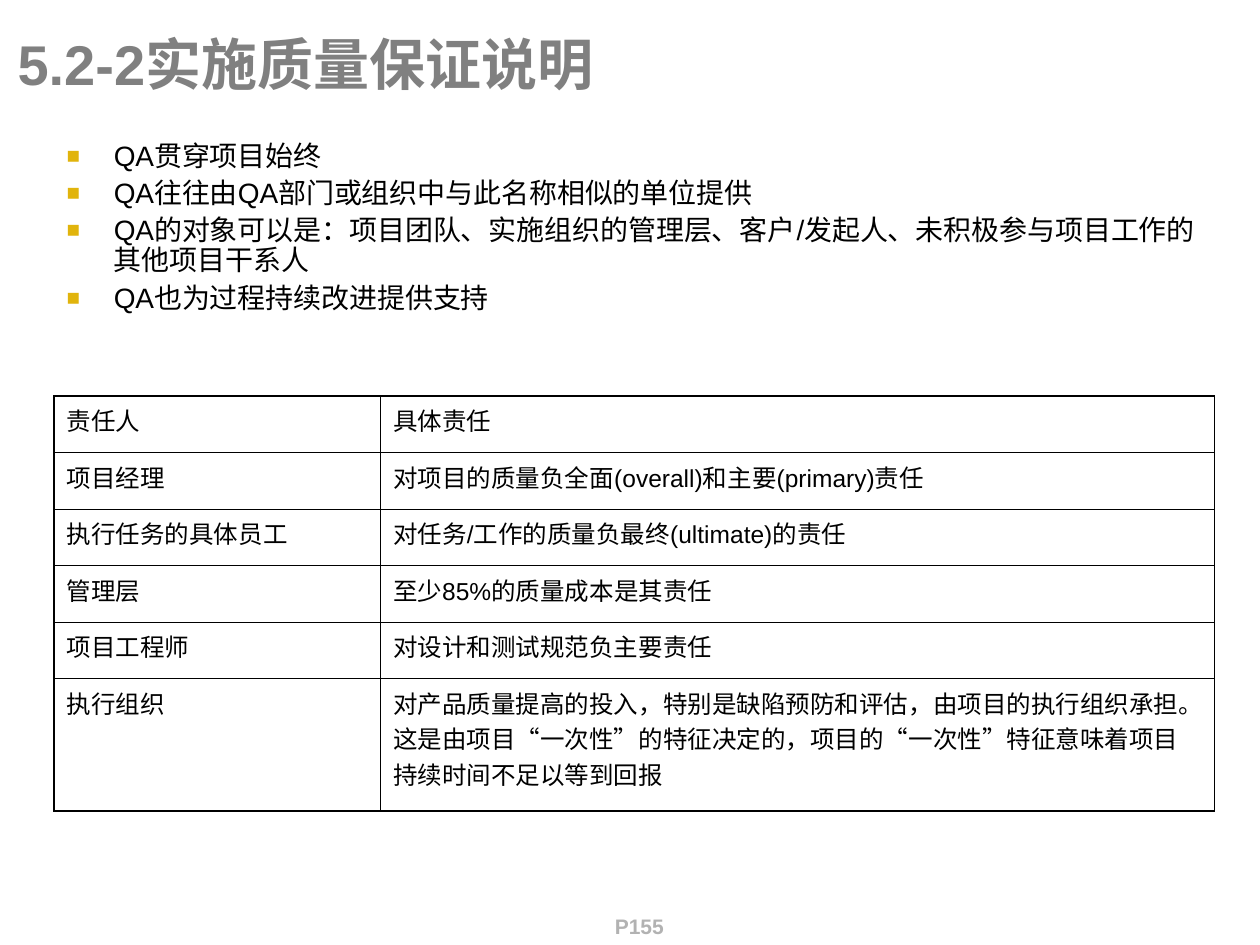
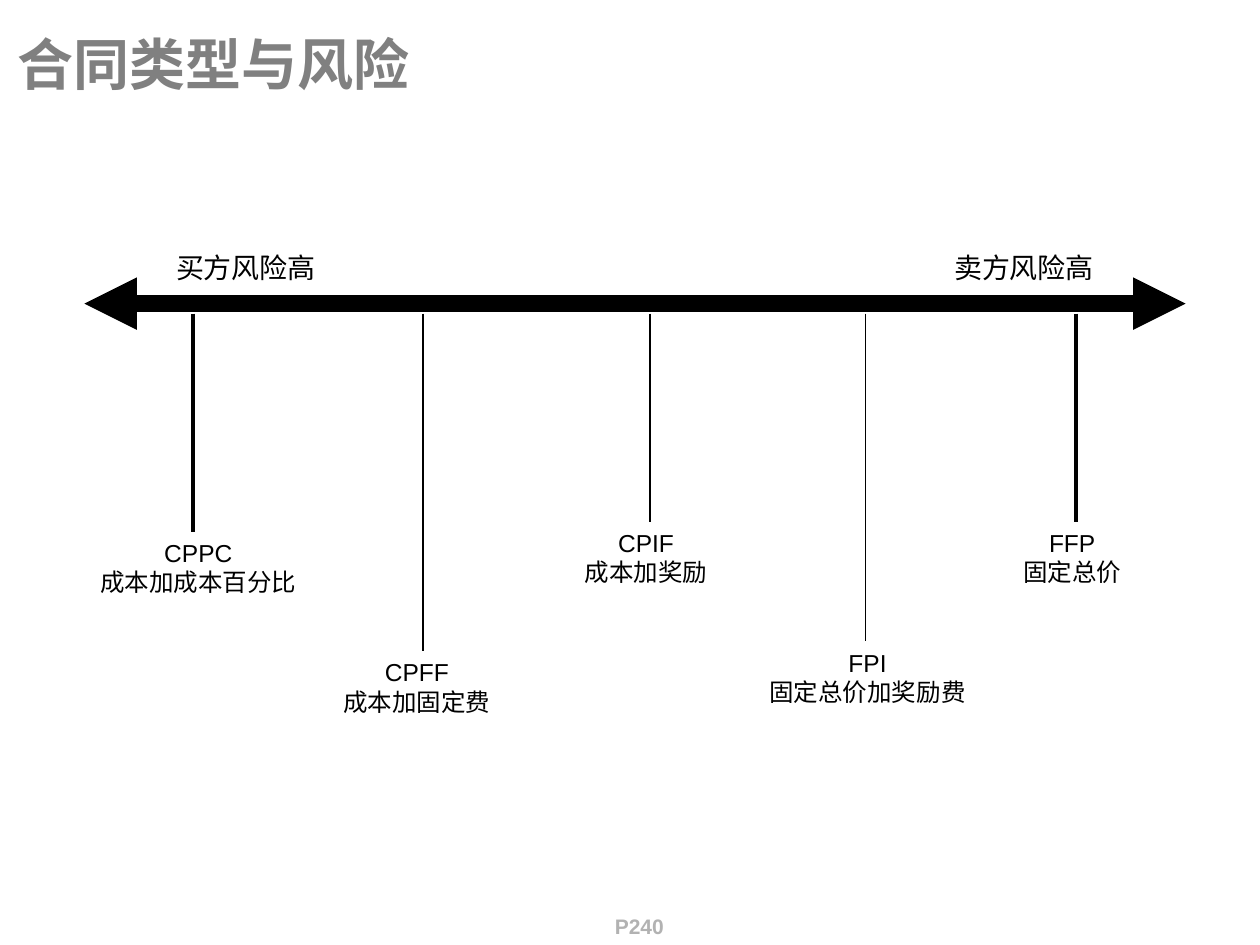
from dataclasses import dataclass

from lxml.etree import SubElement
from pptx import Presentation
from pptx.dml.color import RGBColor
from pptx.enum.shapes import MSO_CONNECTOR as Connector
from pptx.enum.text import MSO_ANCHOR as Anchor, MSO_AUTO_SIZE as AutoSize, PP_ALIGN as Align
from pptx.oxml.ns import qn
from pptx.shapes.base import BaseShape
from pptx.slide import Slide
from pptx.util import Cm, Pt

FONT = "Arial"
BLACK = RGBColor(0x00, 0x00, 0x00)
TITLE_GRAY = RGBColor(0x80, 0x80, 0x80)
PAGE_GRAY = RGBColor(0xB2, 0xB2, 0xB2)
BULLET_GOLD = RGBColor(0xE1, 0xB4, 0x0C)

TITLE_AND_BODY, TITLE_ONLY = 1, 5  # layouts of the default template
OUTER_BORDER, INNER_BORDER = Pt(1.08), Pt(0.45)
AXIS_LEFT, AXIS_RIGHT, AXIS_Y = 1.7, 23.9, 6.12
BRANCH_TOP = 6.32


@dataclass(frozen=True)
class Box:
    """Place on the slide, in centimetres."""
    left: float
    top: float
    width: float
    height: float


@dataclass(frozen=True)
class TextStyle:
    size: float
    color: RGBColor = BLACK
    bold: bool = False
    east_asian: bool = True


@dataclass(frozen=True)
class Contract:
    code: str
    meaning: str
    label: Box
    branch_x: float
    branch_weight: float = 1


@dataclass(frozen=True)
class RiskEnd:
    wording: str
    left: float
    align: Align


TITLE_BOX = Box(0.1, 0.43, 25.3, 1.68)
PAGE_BOX = Box(12.09, 18.29, 1.6, 0.84)
POINTS_BOX = Box(1.09, 2.74, 23.39, 4.8)
DUTIES_BOX = Box(1.09, 7.98, 23.39, 8.37)
DUTY_COLUMNS = (6.58, 16.81)
DUTY_ROWS = (1.14,) * 5 + (2.67,)

TITLE_STYLE = TextStyle(32, TITLE_GRAY, bold=True)
PAGE_STYLE = TextStyle(12, PAGE_GRAY, bold=True)
POINT_STYLE = TextStyle(16)
DUTY_STYLE = TextStyle(14, east_asian=False)
CONTRACT_STYLE = TextStyle(14)

QA_POINTS = (
    "QA贯穿项目始终",
    "QA往往由QA部门或组织中与此名称相似的单位提供",
    "QA的对象可以是：项目团队、实施组织的管理层、客户/发起人、未积极参与项目工作的其他项目干系人",
    "QA也为过程持续改进提供支持",
)
DUTIES = (
    ("责任人", "具体责任"),
    ("项目经理", "对项目的质量负全面(overall)和主要(primary)责任"),
    ("执行任务的具体员工", "对任务/工作的质量负最终(ultimate)的责任"),
    ("管理层", "至少85%的质量成本是其责任"),
    ("项目工程师", "对设计和测试规范负主要责任"),
    ("执行组织", "对产品质量提高的投入，特别是缺陷预防和评估，由项目的执行组织承担。"
     "这是由项目“一次性”的特征决定的，项目的“一次性”特征意味着项目持续时间不足以等到回报"),
)
CONTRACTS = (
    Contract("CPPC", "成本加成本百分比", Box(0.89, 10.72, 6.22, 2.39), 3.89, 2.25),
    Contract("CPFF", "成本加固定费", Box(6.12, 13.13, 4.57, 2.01), 8.53),
    Contract("CPIF", "成本加奖励", Box(10.74, 10.52, 4.57, 2.01), 13.11),
    Contract("FPI", "固定总价加奖励费", Box(14.66, 12.93, 5.66, 1.8), 17.45),
    Contract("FFP", "固定总价", Box(19.33, 10.52, 4.57, 1.8), 21.69, 2.25),
)
RISK_ENDS = (
    RiskEnd("买方风险高", 3.3, Align.LEFT),
    RiskEnd("卖方风险高", 17.3, Align.RIGHT),
)


def place(shape: BaseShape, box: Box) -> None:
    shape.left, shape.top = Cm(box.left), Cm(box.top)
    shape.width, shape.height = Cm(box.width), Cm(box.height)


def add_run(paragraph, wording: str, style: TextStyle) -> None:
    run = paragraph.add_run()
    run.text = wording
    font = run.font
    font.name, font.size, font.bold = FONT, Pt(style.size), style.bold
    font.color.rgb = style.color
    if style.east_asian:
        SubElement(run._r.get_or_add_rPr(), qn("a:ea"), typeface=FONT)


def write_lines(frame, lines: tuple[str, ...], style: TextStyle, align: Align) -> None:
    """Write one paragraph for each line into a text frame."""
    frame.word_wrap = True
    frame.auto_size = AutoSize.NONE
    for index, line in enumerate(lines):
        paragraph = frame.add_paragraph() if index else frame.paragraphs[0]
        paragraph.alignment = align
        paragraph.space_before = Pt(0)
        add_run(paragraph, line, style)


def add_label(slide: Slide, box: Box, lines: tuple[str, ...], style: TextStyle,
              align: Align = Align.CENTER) -> None:
    label = slide.shapes.add_textbox(0, 0, 0, 0)
    place(label, box)
    write_lines(label.text_frame, lines, style, align)


def add_titled_slide(deck, layout: int, title: str, page: str) -> Slide:
    slide = deck.slides.add_slide(deck.slide_layouts[layout])
    heading = slide.shapes.title
    place(heading, TITLE_BOX)
    write_lines(heading.text_frame, (title,), TITLE_STYLE, Align.LEFT)
    heading.text_frame.vertical_anchor = Anchor.MIDDLE
    add_label(slide, PAGE_BOX, (page,), PAGE_STYLE)
    return slide


def add_square_bullet(paragraph) -> None:
    properties = paragraph._p.get_or_add_pPr()
    properties.set("marL", str(Cm(0.95)))
    properties.set("indent", str(-Cm(0.95)))
    color = SubElement(properties, qn("a:buClr"))
    SubElement(color, qn("a:srgbClr"), val=str(BULLET_GOLD))
    SubElement(properties, qn("a:buSzPct"), val="80000")
    SubElement(properties, qn("a:buFont"), typeface=FONT)
    SubElement(properties, qn("a:buChar"), char="■")


def fill_points(slide: Slide) -> None:
    points = slide.placeholders[1]
    place(points, POINTS_BOX)
    write_lines(points.text_frame, QA_POINTS, POINT_STYLE, Align.LEFT)
    for index, paragraph in enumerate(points.text_frame.paragraphs):
        add_square_bullet(paragraph)
        paragraph.line_spacing = 0.9
        paragraph.space_before = Pt(4 if index else 0)


def set_border(cell, side: str, weight: Pt) -> None:
    edge = SubElement(cell._tc.get_or_add_tcPr(), qn(f"a:{side}"), w=str(weight))
    fill = SubElement(edge, qn("a:solidFill"))
    SubElement(fill, qn("a:srgbClr"), val=str(BLACK))


def add_duties(slide: Slide) -> None:
    last_row, last_column = len(DUTY_ROWS) - 1, len(DUTY_COLUMNS) - 1
    frame = slide.shapes.add_table(len(DUTY_ROWS), len(DUTY_COLUMNS), 0, 0, 0, 0)
    place(frame, DUTIES_BOX)
    table = frame.table
    table.first_row = table.horz_banding = False
    for column, width in zip(table.columns, DUTY_COLUMNS):
        column.width = Cm(width)
    for row, height in zip(table.rows, DUTY_ROWS):
        row.height = Cm(height)
    for r, duty in enumerate(DUTIES):
        for c, wording in enumerate(duty):
            cell = table.cell(r, c)
            on_outside = {"lnL": c == 0, "lnR": c == last_column,
                          "lnT": r == 0, "lnB": r == last_row}
            for side, outer in on_outside.items():
                set_border(cell, side, OUTER_BORDER if outer else INNER_BORDER)
            cell.fill.background()
            add_run(cell.text_frame.paragraphs[0], wording, DUTY_STYLE)


def add_line(slide: Slide, start: tuple[float, float], end: tuple[float, float],
             weight: float, arrows: bool = False) -> None:
    line = slide.shapes.add_connector(Connector.STRAIGHT, *map(Cm, start + end))
    line.line.color.rgb = BLACK
    line.line.width = Pt(weight)
    if arrows:
        for tip in ("a:headEnd", "a:tailEnd"):
            SubElement(line.line._get_or_add_ln(), qn(tip), type="triangle")
    SubElement(line._element.spPr, qn("a:effectLst"))


def build_quality_slide(deck) -> None:
    slide = add_titled_slide(deck, TITLE_AND_BODY, "5.2-2实施质量保证说明", "P155")
    fill_points(slide)
    add_duties(slide)


def build_risk_slide(deck) -> None:
    slide = add_titled_slide(deck, TITLE_ONLY, "合同类型与风险", "P240")
    for contract in CONTRACTS:
        add_label(slide, contract.label, (contract.code, contract.meaning), CONTRACT_STYLE)
        add_line(slide, (contract.branch_x, BRANCH_TOP),
                 (contract.branch_x, contract.label.top), contract.branch_weight)
    add_line(slide, (AXIS_LEFT, AXIS_Y), (AXIS_RIGHT, AXIS_Y), 10, arrows=True)
    for end in RISK_ENDS:
        add_label(slide, Box(end.left, 4.93, 5, 0.99), (end.wording,), POINT_STYLE, end.align)


def main() -> None:
    deck = Presentation()
    deck.slide_width, deck.slide_height = Cm(25.4), Cm(19.05)
    build_quality_slide(deck)
    build_risk_slide(deck)
    deck.save("out.pptx")


if __name__ == "__main__":
    main()
